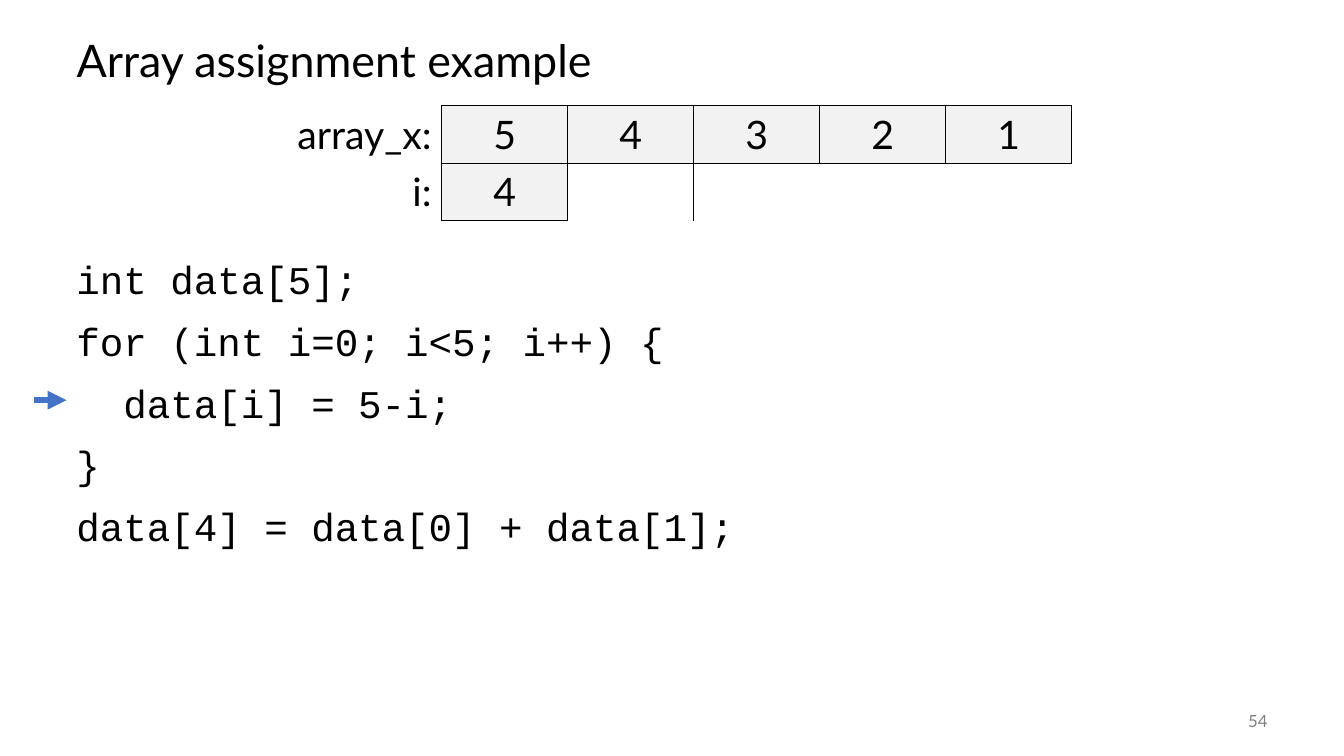
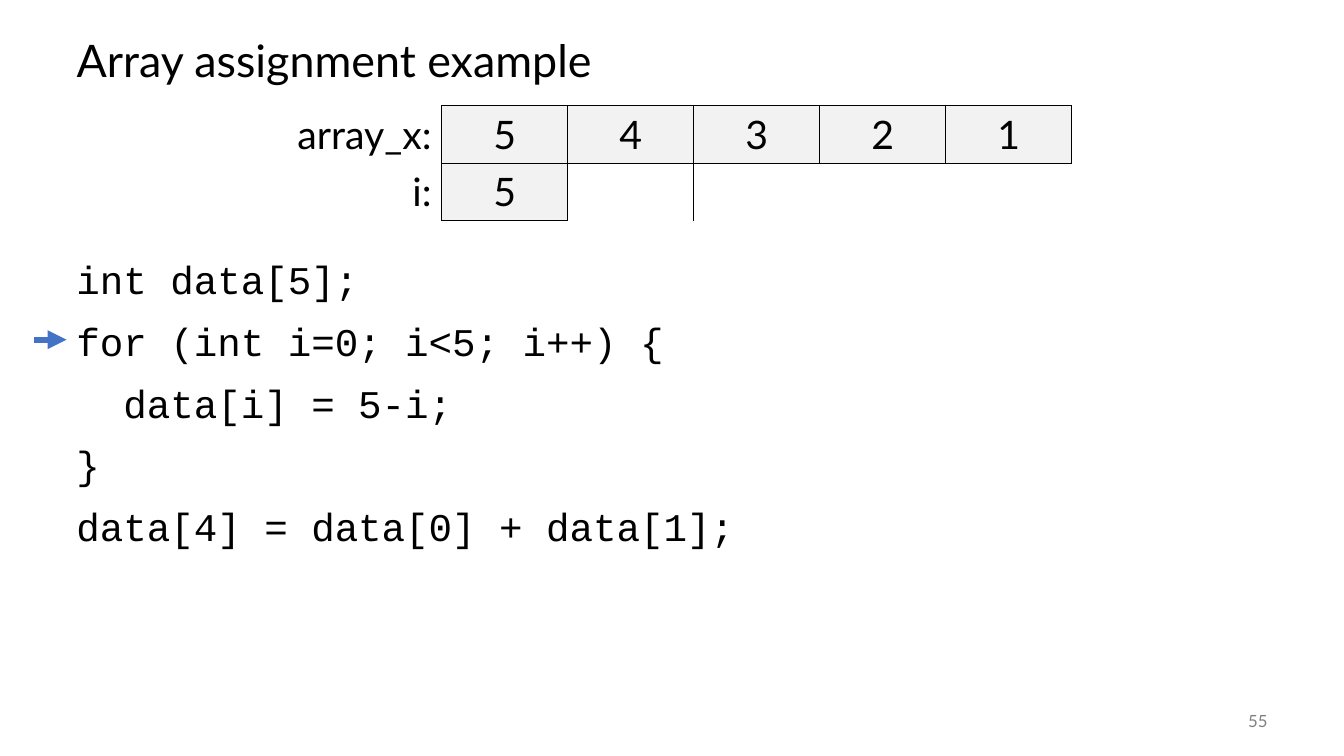
import pptx
import pptx.util
import pptx.dml.color
import pptx.enum.shapes
import pptx.enum.text
import pptx.oxml
import pptx.oxml.ns

Inches, Pt = pptx.util.Inches, pptx.util.Pt
Align, Anchor = pptx.enum.text.PP_ALIGN, pptx.enum.text.MSO_ANCHOR

COLOURS = {"text": "000000", "number": "808080", "cell": "F2F2F2",
           "arrow": "4472C4"}
FORMATS = {
    "title": {"name": "Lato", "size": Pt(32), "bold": False},
    "code": {"name": "Courier New", "size": Pt(28)},
    "table": {"name": "Lato", "size": Pt(28)},
    "number": {"name": "Lato", "size": Pt(12)},
}
CODE = ["int data[5];", "for (int i=0; i<5; i++) {", "  data[i] = 5-i;", "}",
        "data[4] = data[0] + data[1];"]
ARRAY = ["5", "4", "3", "2", "1"]
NO_GRID_STYLE = "{2D5ABB26-0587-4C30-8999-92F81FD0307C}"

# Page number, value of i, index of the code line being run
STEPS = [("54", "4", 2), ("55", "5", 1)]

TITLE_BOX = (0.66, 0.25, 12, 0.75)
TABLE_BOX = (2.72, 1.05, 7.91, 1.14)
CODE_BOX = (0.66, 2.53, 12, 4.22)
NUMBER_BOX = (11.67, 6.95, 1, 0.4)
LABEL_WIDTH = 1.66
ARROW_LENGTH = 0.32
ARROW_TOP = 0.24
ARROW_STEP = 0.6


def rgb(name):
    return pptx.dml.color.RGBColor.from_string(COLOURS[name])


def style_paragraph(para, kind, colour="text", align=Align.LEFT):
    para.alignment = align
    for key, value in FORMATS[kind].items():
        setattr(para.font, key, value)
    para.font.color.rgb = rgb(colour)


def add_text_box(page, box, anchor):
    frame = page.shapes.add_textbox(*map(Inches, box)).text_frame
    frame.word_wrap = True
    frame.vertical_anchor = anchor
    return frame


def place_title(page, box, text):
    title = page.shapes.title
    title.left, title.top, title.width, title.height = map(Inches, box)
    frame = title.text_frame
    frame.text = text
    frame.auto_size = pptx.enum.text.MSO_AUTO_SIZE.NONE
    frame.vertical_anchor = Anchor.MIDDLE
    frame.paragraphs[0].line_spacing = 0.9
    style_paragraph(frame.paragraphs[0], "title")


def place_number(page, box, number):
    para = add_text_box(page, box, Anchor.MIDDLE).paragraphs[0]
    para.text = number
    style_paragraph(para, "number", "number", Align.RIGHT)


def place_code(page, box, lines):
    frame = add_text_box(page, box, Anchor.TOP)
    for index, line in enumerate(lines):
        para = frame.add_paragraph() if index else frame.paragraphs[0]
        para.text = line
        para.line_spacing = Pt(30.2)
        para.space_before = Pt(14 if index else 0)
        style_paragraph(para, "code")


def place_arrow(page, box, line):
    """Point at one line of the code in box, from its left edge."""
    right, y = box[0], box[1] + ARROW_TOP + line * ARROW_STEP
    arrow = page.shapes.add_connector(
        pptx.enum.shapes.MSO_CONNECTOR.STRAIGHT,
        Inches(right - ARROW_LENGTH), Inches(y), Inches(right), Inches(y))
    arrow.line.color.rgb = rgb("arrow")
    arrow.line.width = Pt(4.5)
    head = pptx.oxml.parse_xml(
        f'<a:tailEnd {pptx.oxml.ns.nsdecls("a")} type="triangle"/>')
    arrow.line._get_or_add_ln().append(head)
    arrow._element.spPr.append(
        pptx.oxml.parse_xml(f'<a:effectLst {pptx.oxml.ns.nsdecls("a")}/>'))


def add_borders(cell, sides):
    """Draw the given sides, a string of letters in the order LRTB."""
    props = cell._tc.get_or_add_tcPr()
    for side in sides:
        props.append(pptx.oxml.parse_xml(
            f'<a:ln{side} {pptx.oxml.ns.nsdecls("a")} w="12700"><a:solidFill>'
            f'<a:srgbClr val="{COLOURS["text"]}"/></a:solidFill></a:ln{side}>'))


def place_variables(page, box, variables):
    """Show each variable as a label followed by its boxed values."""
    columns = 1 + max(len(values) for values in variables.values())
    shape = page.shapes.add_table(len(variables), columns, *map(Inches, box))
    table = shape.table
    table.first_row = table.horz_banding = False
    style = shape._element.find(".//" + pptx.oxml.ns.qn("a:tableStyleId"))
    style.text = NO_GRID_STYLE
    value_width = (box[2] - LABEL_WIDTH) / (columns - 1)
    for index, column in enumerate(table.columns):
        column.width = Inches(value_width if index else LABEL_WIDTH)
    for row, (label, values) in enumerate(variables.items()):
        texts = [f"{label}:", *values]
        for index in range(columns):
            cell = table.cell(row, index)
            if index == 0:
                add_borders(cell, "R")
            elif index < len(texts):
                add_borders(cell, "LRTB")
            else:
                add_borders(cell, "LT" if index == len(texts) else "T")
            if 0 < index < len(texts):
                cell.fill.solid()
                cell.fill.fore_color.rgb = rgb("cell")
            else:
                cell.fill.background()
            if index < len(texts):
                para = cell.text_frame.paragraphs[0]
                para.text = texts[index]
                style_paragraph(para, "table",
                                align=Align.CENTER if index else Align.RIGHT)


def add_step_slide(deck, number, counter, line):
    page = deck.slides.add_slide(deck.slide_layouts[5])
    place_title(page, TITLE_BOX, "Array assignment example")
    place_code(page, CODE_BOX, CODE)
    place_number(page, NUMBER_BOX, number)
    place_variables(page, TABLE_BOX, {"array_x": ARRAY, "i": [counter]})
    place_arrow(page, CODE_BOX, line)


def main():
    deck = pptx.Presentation()
    deck.slide_width, deck.slide_height = Inches(13.33), Inches(7.5)
    for step in STEPS:
        add_step_slide(deck, *step)
    deck.save("out.pptx")


if __name__ == "__main__":
    main()
